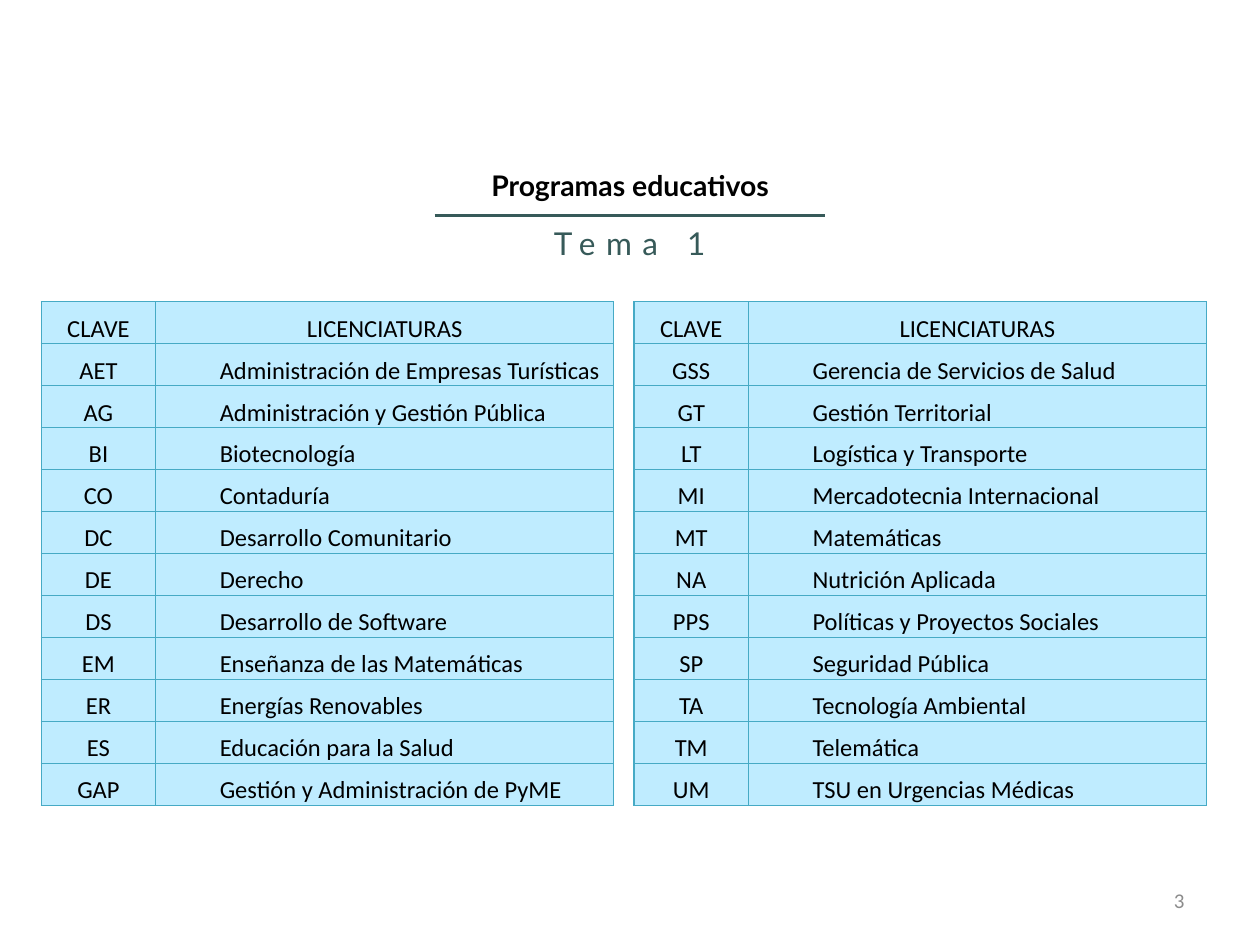
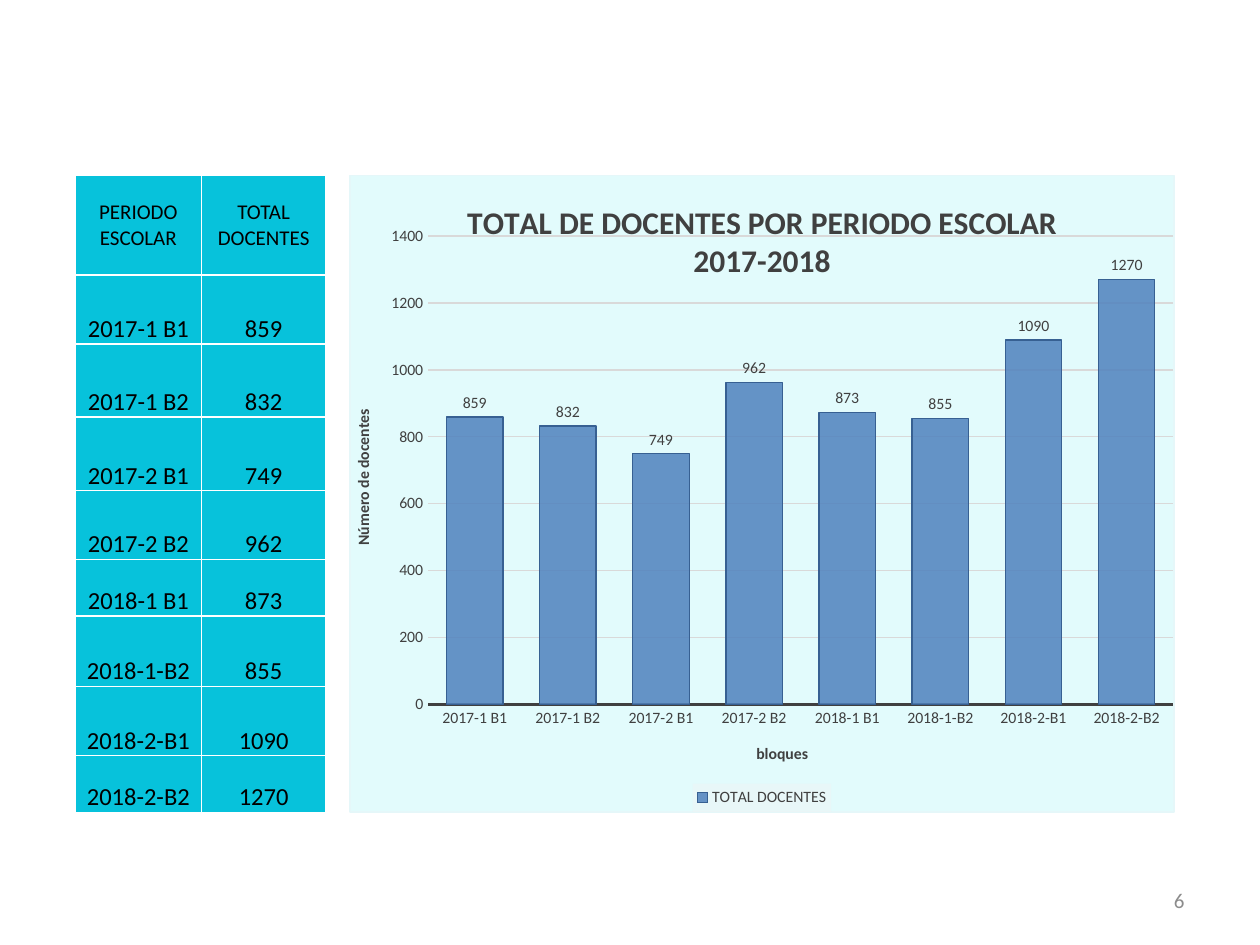
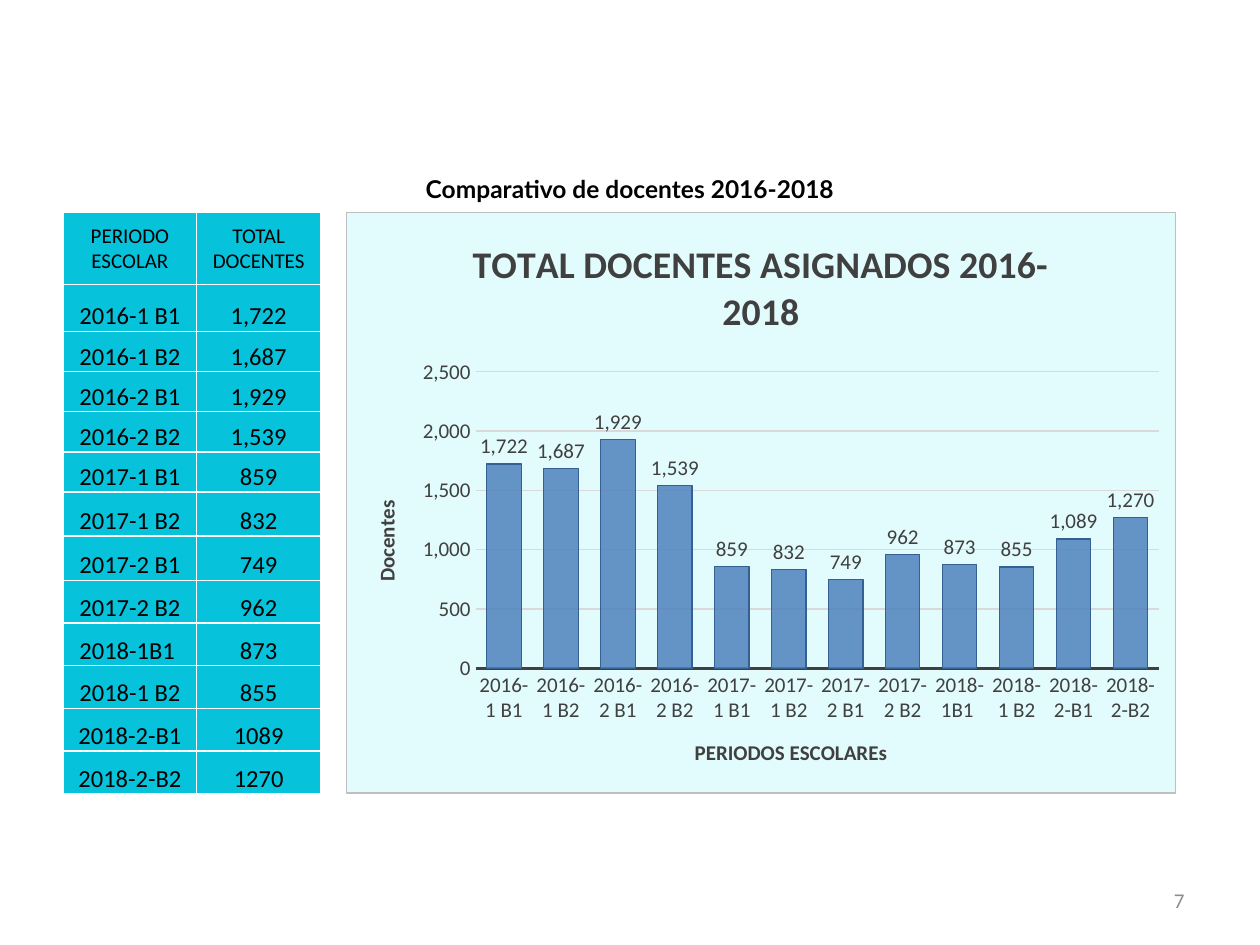
from dataclasses import dataclass

from pptx import Presentation
from pptx.chart.data import CategoryChartData
from pptx.dml.color import RGBColor
from pptx.enum.chart import XL_CHART_TYPE, XL_LABEL_POSITION, XL_LEGEND_POSITION, XL_TICK_MARK
from pptx.enum.shapes import MSO_CONNECTOR
from pptx.enum.text import MSO_ANCHOR, MSO_AUTO_SIZE, PP_ALIGN
from pptx.oxml import parse_xml
from pptx.oxml.ns import nsdecls
from pptx.util import Cm, Pt

LEFT, CENTER, RIGHT = PP_ALIGN.LEFT, PP_ALIGN.CENTER, PP_ALIGN.RIGHT
MIDDLE, BOTTOM = MSO_ANCHOR.MIDDLE, MSO_ANCHOR.BOTTOM
COLUMNS = XL_CHART_TYPE.COLUMN_CLUSTERED
OUTSIDE = XL_LABEL_POSITION.OUTSIDE_END
LEGEND_BOTTOM = XL_LEGEND_POSITION.BOTTOM
NO_TICK = XL_TICK_MARK.NONE
STRAIGHT = MSO_CONNECTOR.STRAIGHT
TITLE_ONLY, BLANK = 5, 6


@dataclass(frozen=True)
class Theme:
    heading_font: str = "Lato"
    body_font: str = "Calibri"
    ink: str = "000000"
    accent: str = "375A59"
    page_number: str = "8C8C8C"
    program_fill: str = "BFECFF"
    program_border: str = "46AAC5"
    period_fill: str = "07C2DB"
    period_border: str = "FFFFFF"
    chart_fill: str = "E2FBFC"
    chart_text: str = "404040"
    grid: str = "D9D9D9"
    bar: str = "4F81BD"
    bar_border: str = "376092"
    legend_fill: str = "F2F2F2"
    small: int = 12
    normal: int = 14
    topic: int = 18


THEME = Theme()

# Content: degree programmes
PROGRAMS_TITLE = "Programas educativos"
TOPIC = "Tema 1"
PROGRAM_HEADER = ("CLAVE", "LICENCIATURAS")
PROGRAMS = [
    ("AET", "Administración de Empresas Turísticas"),
    ("AG", "Administración y Gestión Pública"),
    ("BI", "Biotecnología"),
    ("CO", "Contaduría"),
    ("DC", "Desarrollo Comunitario"),
    ("DE", "Derecho"),
    ("DS", "Desarrollo de Software"),
    ("EM", "Enseñanza de las Matemáticas"),
    ("ER", "Energías Renovables"),
    ("ES", "Educación para la Salud"),
    ("GAP", "Gestión y Administración de PyME"),
    ("GSS", "Gerencia de Servicios de Salud"),
    ("GT", "Gestión Territorial"),
    ("LT", "Logística y Transporte"),
    ("MI", "Mercadotecnia Internacional"),
    ("MT", "Matemáticas"),
    ("NA", "Nutrición Aplicada"),
    ("PPS", "Políticas y Proyectos Sociales"),
    ("SP", "Seguridad Pública"),
    ("TA", "Tecnología Ambiental"),
    ("TM", "Telemática"),
    ("UM", "TSU en Urgencias Médicas"),
]

# Content: teachers per school period (lengths in cm)
PERIOD_HEADER = ("PERIODO ESCOLAR", "TOTAL DOCENTES")
TEACHERS = [
    dict(
        page="6", title=None,
        periods=[("2017-1 B1", "859"), ("2017-1 B2", "832"), ("2017-2 B1", "749"),
                 ("2017-2 B2", "962"), ("2018-1 B1", "873"), ("2018-1-B2", "855"),
                 ("2018-2-B1", "1090"), ("2018-2-B2", "1270")],
        table_at=(1.52, 3.53), columns=(2.54, 2.51),
        rows=[2.01, 1.4, 1.47, 1.48, 1.39, 1.14, 1.42, 1.4, 1.14],
        chart_at=(7.04, 3.53, 16.64, 12.85),
        chart=dict(title="TOTAL DE DOCENTES POR PERIODO ESCOLAR 2017-2018",
                   title_size=18, overlay=True, series="TOTAL DOCENTES",
                   x_title="bloques", y_title="Número de docentes", size=9,
                   top=1400, step=200, number_format="General", border="E5F7F9",
                   legend=True, plot=(0.095, 0.095, 0.904, 0.736),
                   plotted={6: 1089}),
    ),
    dict(
        page="7", title="Comparativo de docentes 2016-2018",
        periods=[("2016-1 B1", "1,722"), ("2016-1 B2", "1,687"), ("2016-2 B1", "1,929"),
                 ("2016-2 B2", "1,539"), ("2017-1 B1", "859"), ("2017-1 B2", "832"),
                 ("2017-2 B1", "749"), ("2017-2 B2", "962"), ("2018-1B1 ", "873"),
                 ("2018-1 B2", "855"), ("2018-2-B1", "1089"), ("2018-2-B2", "1270")],
        table_at=(1.28, 4.27), columns=(2.68, 2.51),
        rows=[1.47, 0.94] + [0.81] * 4 + [0.89] * 2 + [0.86] * 5,
        chart_at=(6.97, 4.27, 16.74, 11.73),
        chart=dict(title="TOTAL DOCENTES ASIGNADOS 2016-2018",
                   title_size=21.6, overlay=False, series="Docentes",
                   x_title="PERIODOS ESCOLAREs", y_title="Docentes", size=12,
                   top=2500, step=500, number_format="#,##0", border="BFBFBF",
                   legend=False, plot=None, plotted={}),
    ),
]


def rgb(value):
    return RGBColor.from_string(value)


def put_text(frame, text, *, size, color=THEME.ink, font=THEME.body_font, bold=False,
             align=None, anchor=None, spacing=None, indent=None):
    """Write one formatted paragraph into a text frame."""
    paragraph = frame.paragraphs[0]
    run = paragraph.add_run()
    run.text = text
    run.font.size, run.font.name, run.font.bold = Pt(size), font, bold
    run.font.color.rgb = rgb(color)
    if align is not None:
        paragraph.alignment = align
    if anchor is not None:
        frame.vertical_anchor = anchor
    if spacing:
        run._r.get_or_add_rPr().set("spc", str(spacing * 100))
    if indent:
        paragraph.level = 1
        properties = paragraph._p.get_or_add_pPr()
        properties.set("marL", str(Cm(indent)))
        properties.set("indent", "0")


def format_font(font, size):
    font.size, font.name, font.bold = Pt(size), THEME.body_font, False
    font.color.rgb = rgb(THEME.chart_text)


def new_slide(deck, page, title=None, top=3.33, height=0.85, size=THEME.normal):
    """Add a slide with its optional title and its page number."""
    slide = deck.slides.add_slide(deck.slide_layouts[TITLE_ONLY if title else BLANK])
    if title:
        heading = slide.shapes.title
        heading.left, heading.top = Cm(1.27), Cm(top)
        heading.width, heading.height = Cm(22.86), Cm(height)
        heading.text_frame.auto_size = MSO_AUTO_SIZE.NONE
        put_text(heading.text_frame, title, size=size, font=THEME.heading_font,
                 bold=True, align=CENTER, anchor=MIDDLE)
    number = slide.shapes.add_textbox(Cm(18.2), Cm(17.65), Cm(5.93), Cm(1.01))
    number.text_frame.word_wrap = True
    put_text(number.text_frame, page, size=THEME.small, color=THEME.page_number,
             align=RIGHT, anchor=MIDDLE)
    return slide


def set_borders(cell, color, width):
    properties = cell._tc.get_or_add_tcPr()
    for place, side in enumerate(("lnL", "lnR", "lnT", "lnB")):
        properties.insert(place, parse_xml(
            f'<a:{side} {nsdecls("a")} w="{Pt(width)}"><a:solidFill>'
            f'<a:srgbClr val="{color}"/></a:solidFill></a:{side}>'))


def add_grid(slide, at, columns, heights, rows, cell_format, fill, border, border_width):
    """Add a table; cell_format(row, column) gives the text format of a cell."""
    left, top = at
    table = slide.shapes.add_table(
        len(rows), len(columns), Cm(left), Cm(top),
        Cm(sum(columns)), Cm(sum(heights))).table
    for column, width in zip(table.columns, columns):
        column.width = Cm(width)
    for row, height in zip(table.rows, heights):
        row.height = Cm(height)
    for r, texts in enumerate(rows):
        for c, text in enumerate(texts):
            cell = table.cell(r, c)
            form = cell_format(r, c)
            cell.margin_left = cell.margin_right = cell.margin_top = Cm(0.02)
            cell.margin_bottom = 0
            cell.vertical_anchor = form.pop("cell_anchor")
            cell.fill.solid()
            cell.fill.fore_color.rgb = rgb(fill)
            set_borders(cell, border, border_width)
            put_text(cell.text_frame, text, **form)


def program_format(row, column):
    is_name = row > 0 and column == 1
    return dict(size=THEME.normal, cell_anchor=BOTTOM,
                align=LEFT if is_name else CENTER, indent=1.27 if is_name else None)


def period_format(row, column):
    return dict(size=THEME.normal if row else THEME.small, align=CENTER,
                cell_anchor=BOTTOM if row else MIDDLE)


def area_properties(fill, alpha=100, border=None):
    line = (f'<a:ln w="{Pt(0.75)}"><a:solidFill><a:srgbClr val="{border}"/></a:solidFill></a:ln>'
            if border else "<a:ln><a:noFill/></a:ln>")
    return parse_xml(
        f'<c:spPr {nsdecls("c", "a")}><a:solidFill><a:srgbClr val="{fill}">'
        f'<a:alpha val="{alpha * 1000}"/></a:srgbClr></a:solidFill>{line}</c:spPr>')


def place_plot(chart, box):
    plot_area = chart._chartSpace.chart.plotArea
    for layout in plot_area.xpath("c:layout"):
        plot_area.remove(layout)
    numbers = "".join(f'<c:{name} val="{value}"/>' for name, value in zip("xywh", box))
    plot_area.insert(0, parse_xml(
        f'<c:layout {nsdecls("c")}><c:manualLayout><c:layoutTarget val="inner"/>'
        f'<c:xMode val="edge"/><c:yMode val="edge"/>{numbers}</c:manualLayout></c:layout>'))


def format_axis(axis, title, size):
    axis.major_tick_mark = axis.minor_tick_mark = NO_TICK
    format_font(axis.tick_labels.font, size)
    put_text(axis.axis_title.text_frame, title, size=size,
             color=THEME.chart_text, bold=True)


def add_teacher_chart(slide, at, periods, look):
    totals = [int(shown.replace(",", "")) for _, shown in periods]
    data = CategoryChartData(number_format=look["number_format"])
    data.categories = [period for period, _ in periods]
    data.add_series(look["series"],
                    [look["plotted"].get(i, total) for i, total in enumerate(totals)])
    chart = slide.shapes.add_chart(COLUMNS, *map(Cm, at), data).chart
    size = look["size"]

    # Chart area and title
    chart.font.size, chart.font.name = Pt(10), THEME.body_font
    chart._chartSpace.xpath("c:txPr")[0].addprevious(
        area_properties(THEME.chart_fill, border=look["border"]))
    chart.has_title = True
    put_text(chart.chart_title.text_frame, look["title"], size=look["title_size"],
             color=THEME.chart_text, bold=True)
    for overlay in chart.chart_title._element.xpath("c:overlay"):
        overlay.set("val", str(int(look["overlay"])))
    if look["plot"]:
        place_plot(chart, look["plot"])

    # Axes
    category, value = chart.category_axis, chart.value_axis
    format_axis(category, look["x_title"], size)
    category.format.line.color.rgb = rgb(THEME.chart_text)
    category.format.line.width = Pt(1.5)
    format_axis(value, look["y_title"], size)
    value.axis_title.text_frame._txBody.bodyPr.set("rot", "-5400000")
    value.axis_title.text_frame._txBody.bodyPr.set("vert", "horz")
    value.format.line.fill.background()
    value.minimum_scale, value.maximum_scale = 0, look["top"]
    value.major_unit = look["step"]
    value.tick_labels.number_format = look["number_format"]
    value.tick_labels.number_format_is_linked = False
    value.major_gridlines.format.line.color.rgb = rgb(THEME.grid)
    value.major_gridlines.format.line.width = Pt(0.75)

    # Bars and their labels
    plot = chart.plots[0]
    plot.gap_width, plot.vary_by_categories = 65, False
    bars = plot.series[0]
    bars.format.fill.solid()
    bars.format.fill.fore_color.rgb = rgb(THEME.bar)
    bars.format.line.color.rgb = rgb(THEME.bar_border)
    bars.format.line.width = Pt(0.75)
    bars._element.xpath("c:spPr/a:solidFill/a:srgbClr")[0].append(
        parse_xml(f'<a:alpha {nsdecls("a")} val="85000"/>'))
    labels = bars.data_labels
    labels.show_value, labels.position = True, OUTSIDE
    labels.number_format = look["number_format"]
    labels.number_format_is_linked = False
    format_font(labels.font, size)
    for i in look["plotted"]:
        label = bars.points[i].data_label
        put_text(label.text_frame, periods[i][1], size=size, color=THEME.chart_text)
        label.position = OUTSIDE

    # Legend
    chart.has_legend = look["legend"]
    if look["legend"]:
        legend = chart.legend
        legend.position, legend.include_in_layout = LEGEND_BOTTOM, False
        format_font(legend.font, size)
        legend._element.xpath("c:txPr")[0].addprevious(
            area_properties(THEME.legend_fill, alpha=39))


def build_programs(deck):
    slide = new_slide(deck, "3", PROGRAMS_TITLE, top=3.33, height=0.79, size=16.2)

    # Rule and topic under the title
    rule = slide.shapes.add_connector(STRAIGHT, Cm(8.76), Cm(4.34), Cm(16.64), Cm(4.34))
    rule.line.color.rgb, rule.line.width = rgb(THEME.accent), Pt(2)
    rule._element.spPr.append(parse_xml(f'<a:effectLst {nsdecls("a")}/>'))
    topic = slide.shapes.add_textbox(Cm(10.69), Cm(4.39), Cm(4.01), Cm(1.02))
    topic.text_frame.word_wrap = False
    topic.text_frame.auto_size = MSO_AUTO_SIZE.SHAPE_TO_FIT_TEXT
    put_text(topic.text_frame, TOPIC, size=THEME.topic, color=THEME.accent,
             font=THEME.heading_font, align=CENTER, spacing=6)

    # Two halves of the list side by side
    half = len(PROGRAMS) // 2
    for side in range(2):
        rows = [PROGRAM_HEADER] + PROGRAMS[side * half:(side + 1) * half]
        add_grid(slide, (0.83 + side * 11.95, 6.08), (2.31, 9.23),
                 [10.16 / len(rows)] * len(rows), rows, program_format,
                 THEME.program_fill, THEME.program_border, 0.75)


def build_teachers(deck, content):
    slide = new_slide(deck, content["page"], content["title"], top=3.35, height=0.91)
    add_grid(slide, content["table_at"], content["columns"], content["rows"],
             [PERIOD_HEADER] + content["periods"], period_format,
             THEME.period_fill, THEME.period_border, 1)
    add_teacher_chart(slide, content["chart_at"], content["periods"], content["chart"])


deck = Presentation()
deck.slide_width, deck.slide_height = Cm(25.4), Cm(19.05)
build_programs(deck)
for content in TEACHERS:
    build_teachers(deck, content)
deck.save("out.pptx")
